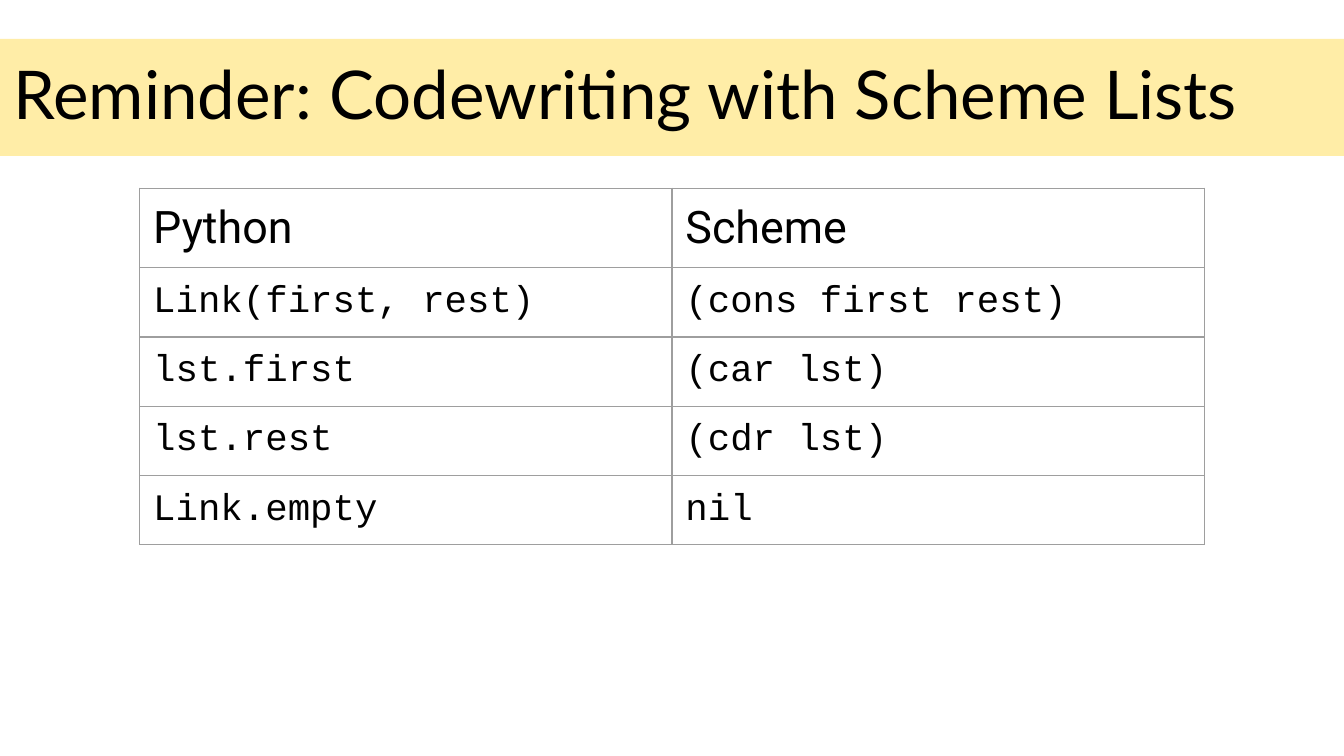
import pptx
import pptx.dml.color
import pptx.enum.text
import pptx.oxml
import pptx.oxml.ns
import pptx.util

Inches = pptx.util.Inches
Pt = pptx.util.Pt

COLORS = {"band": "FFEB99", "text": "000000", "border": "9E9E9E"}
TITLE_FORMAT = {"name": "Lato", "size": Pt(36), "bold": False}
HEADER_FORMAT = {"name": "Roboto", "size": Pt(24), "bold": False}
CODE_FORMAT = {"name": "Courier New", "size": Pt(20), "bold": False}
MARGINS = {f"margin_{side}": Inches(0.1) for side in ("left", "top", "right", "bottom")}

ROWS = [
    ("Python", "Scheme"),
    ("Link(first, rest)", "(cons first rest)"),
    ("lst.first", "(car lst)"),
    ("lst.rest", "(cdr lst)"),
    ("Link.empty", "nil"),
]


def rgb(name):
    return pptx.dml.color.RGBColor.from_string(COLORS[name])


def set_attributes(target, values):
    for name, value in values.items():
        setattr(target, name, value)


def write_text(frame, text, text_format):
    """Fill a text frame with one left-aligned run."""
    para = frame.paragraphs[0]
    para.alignment = pptx.enum.text.PP_ALIGN.LEFT
    span = para.add_run()
    span.text = text
    set_attributes(span.font, text_format)
    span.font.color.rgb = rgb("text")


def add_title(page, text):
    """Place the title on its translucent full-width band."""
    title = page.shapes.title
    set_attributes(title, {"left": Inches(0), "top": Inches(0.29),
                           "width": Inches(10), "height": Inches(0.87)})
    title.fill.solid()
    title.fill.fore_color.rgb = rgb("band")
    color = title.element.spPr.find(".//" + pptx.oxml.ns.qn("a:srgbClr"))
    color.append(pptx.oxml.parse_xml(
        f'<a:alpha {pptx.oxml.ns.nsdecls("a")} val="86000"/>'))
    frame = title.text_frame
    set_attributes(frame, MARGINS)
    set_attributes(frame, {"word_wrap": True,
                           "auto_size": pptx.enum.text.MSO_AUTO_SIZE.NONE,
                           "vertical_anchor": pptx.enum.text.MSO_ANCHOR.TOP})
    write_text(frame, text, TITLE_FORMAT)


def set_borders(cell, width):
    """Draw all four cell borders; they must come before the fill."""
    properties = cell._tc.get_or_add_tcPr()
    for index, side in enumerate(("lnL", "lnR", "lnT", "lnB")):
        properties.insert(index, pptx.oxml.parse_xml(
            f'<a:{side} {pptx.oxml.ns.nsdecls("a")} w="{width}"><a:solidFill>'
            f'<a:srgbClr val="{COLORS["border"]}"/></a:solidFill></a:{side}>'))


def add_comparison_table(page, rows):
    """Compare the two languages; rows grow to fit their text."""
    table = page.shapes.add_table(len(rows), len(rows[0]), Inches(1.04), Inches(1.4),
                                  Inches(7.92), Inches(0.42) * len(rows)).table
    set_attributes(table, {"first_row": False, "horz_banding": False})
    for row_index, texts in enumerate(rows):
        text_format = HEADER_FORMAT if row_index == 0 else CODE_FORMAT
        for column_index, text in enumerate(texts):
            cell = table.cell(row_index, column_index)
            set_attributes(cell, MARGINS)
            cell.fill.background()
            set_borders(cell, Pt(0.75))
            write_text(cell.text_frame, text, text_format)


def main():
    deck = pptx.Presentation()
    # Widescreen, 16:9
    deck.slide_width = Inches(10)
    deck.slide_height = deck.slide_width * 9 // 16
    page = deck.slides.add_slide(deck.slide_layouts.get_by_name("Title Only"))
    add_title(page, "Reminder: Codewriting with Scheme Lists")
    add_comparison_table(page, ROWS)
    deck.save("out.pptx")


if __name__ == "__main__":
    main()
